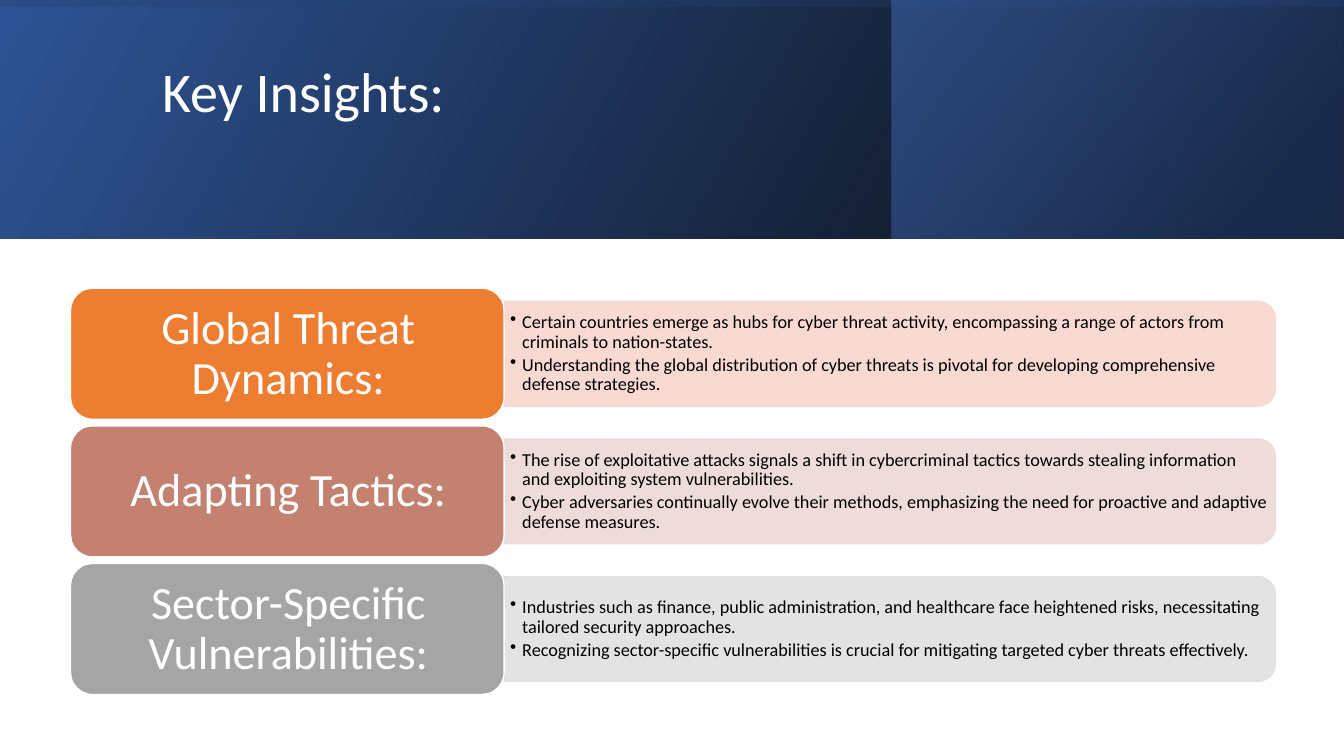
from typing import NamedTuple

from lxml import etree
from pptx import Presentation
from pptx import util as u
from pptx.dml.color import RGBColor
from pptx.enum import shapes, text
from pptx.oxml import ns

FONT = "Calibri"
WHITE = RGBColor(0xFF, 0xFF, 0xFF)
BLACK = RGBColor(0x00, 0x00, 0x00)
BLUE = RGBColor(0x2F, 0x55, 0x97)
NAVY = RGBColor(0x20, 0x38, 0x64)
SKY = RGBColor(0x44, 0x72, 0xC4)
ORANGE = RGBColor(0xED, 0x7D, 0x31)
PEACH = RGBColor(0xF8, 0xD7, 0xCE)
CLAY = RGBColor(0xC4, 0x81, 0x70)
ROSE = RGBColor(0xED, 0xD9, 0xD7)
GREY = RGBColor(0xA5, 0xA5, 0xA5)
SILVER = RGBColor(0xE1, 0xE1, 0xE1)

WIDE, BAND = 13.33, 2.37
TOP, PITCH = 2.86, 1.365
PILL_X, PILL_W, PILL_H = 0.7, 4.3, 1.3
BAR_W, BAR_H = 7.65, 1.04


class Box(NamedTuple):
    x: float
    y: float
    w: float
    h: float

    def inches(self) -> list:
        return [u.Inches(side) for side in self]


class Stop(NamedTuple):
    pos: int
    color: RGBColor
    alpha: int


class Panel(NamedTuple):
    box: Box
    turn: int
    angle: int
    stops: list[Stop]


class Row(NamedTuple):
    head: str
    dark: RGBColor
    pale: RGBColor
    points: list[str]


PANELS = [
    Panel(Box(0, 0, WIDE, BAND), 0, 330, [Stop(0, BLACK, 96), Stop(100, BLUE, 100)]),
    Panel(Box(8.84, 0, 4.48, BAND), 0, 320, [Stop(19, NAVY, 68), Stop(100, SKY, 48)]),
    Panel(Box((WIDE - BAND) / 2, (BAND - WIDE) / 2, BAND, WIDE), 270, 350,
          [Stop(23, BLUE, 16), Stop(99, BLACK, 45)]),
]

ROWS = [
    Row("Global Threat Dynamics:", ORANGE, PEACH, [
        "Certain countries emerge as hubs for cyber threat activity, encompassing "
        "a range of actors from criminals to nation-states.",
        "Understanding the global distribution of cyber threats is pivotal for "
        "developing comprehensive defense strategies."]),
    Row("Adapting Tactics:", CLAY, ROSE, [
        "The rise of exploitative attacks signals a shift in cybercriminal tactics "
        "towards stealing information and exploiting system vulnerabilities.",
        "Cyber adversaries continually evolve their methods, emphasizing the need "
        "for proactive and adaptive defense measures."]),
    Row("Sector-Specific Vulnerabilities:", GREY, SILVER, [
        "Industries such as finance, public administration, and healthcare face "
        "heightened risks, necessitating tailored security approaches.",
        "Recognizing sector-specific vulnerabilities is crucial for mitigating "
        "targeted cyber threats effectively."]),
]


def add_node(parent, tag: str, **attrs):
    return etree.SubElement(parent, ns.qn(tag), **attrs)


def add_panel(slide, panel: Panel) -> None:
    """Draw a mirrored rectangle with a see-through gradient."""
    rect = slide.shapes.add_shape(shapes.MSO_SHAPE.RECTANGLE, *panel.box.inches())
    rect.shadow.inherit = False
    rect.rotation = panel.turn
    rect.line.fill.background()
    rect.fill.gradient()
    props = rect._element.spPr
    props.find(ns.qn("a:xfrm")).set("flipH", "1")
    grad = props.find(ns.qn("a:gradFill"))
    for child in list(grad):
        grad.remove(child)
    stops = add_node(grad, "a:gsLst")
    for stop in panel.stops:
        node = add_node(stops, "a:gs", pos=str(stop.pos * 1000))
        color = add_node(node, "a:srgbClr", val=str(stop.color))
        add_node(color, "a:alpha", val=str(stop.alpha * 1000))
    add_node(grad, "a:lin", ang=str(panel.angle * 60000), scaled="0")


def add_solid(group, kind: shapes.MSO_SHAPE, box: Box, fill: RGBColor, line: RGBColor):
    shape = group.shapes.add_shape(kind, *box.inches())
    shape.shadow.inherit = False
    shape.fill.solid()
    shape.fill.fore_color.rgb = fill
    shape.line.color.rgb = line
    shape.line.width = u.Pt(1)
    return shape


def add_text(parent, box: Box, lines: list[str], size: int, color: RGBColor,
             inset: tuple, align=text.PP_ALIGN.LEFT, bullet: bool = False) -> None:
    """Add a middle-anchored box; inset is left, top, right, bottom."""
    frame = parent.shapes.add_textbox(*box.inches()).text_frame
    frame.word_wrap = True
    frame.vertical_anchor = text.MSO_ANCHOR.MIDDLE
    (frame.margin_left, frame.margin_top,
     frame.margin_right, frame.margin_bottom) = [u.Inches(side) for side in inset]
    for i, line in enumerate(lines):
        para = frame.paragraphs[0] if i == 0 else frame.add_paragraph()
        if bullet:
            props = para._p.get_or_add_pPr()
            props.set("marL", str(u.Inches(0.12)))
            props.set("indent", str(u.Inches(-0.12)))
            add_node(props, "a:buChar", char="•")
            para.level = 1
            para.space_after = u.Pt(2.2)
        para.alignment = align
        para.line_spacing = 0.9
        run = para.add_run()
        run.text = line
        run.font.name = FONT
        run.font.size = u.Pt(size)
        run.font.color.rgb = color


def add_row(group, row: Row, top: float) -> None:
    mid = top + PILL_H / 2
    edge = PILL_X + PILL_W
    # The bar is upright before its quarter turn, so its sides swap.
    upright = Box(edge + (BAR_W - BAR_H) / 2, mid - BAR_W / 2, BAR_H, BAR_W)
    bar = add_solid(group, shapes.MSO_SHAPE.ROUND_2_SAME_RECTANGLE,
                    upright, row.pale, row.pale)
    bar.rotation = 90
    for color in bar._element.spPr.iter(ns.qn("a:srgbClr")):
        add_node(color, "a:alpha", val="90000")
    add_text(group, Box(edge + 0.01, mid - 0.47, 7.6, 0.94), row.points, 13, BLACK,
             (0.05, 0.03, 0.05, 0.03), bullet=True)
    add_solid(group, shapes.MSO_SHAPE.ROUNDED_RECTANGLE,
              Box(PILL_X, top, PILL_W, PILL_H), row.dark, WHITE)
    add_text(group, Box(PILL_X + 0.07, top + 0.07, 4.18, 1.17), [row.head], 33, WHITE,
             (0.14, 0.07, 0.14, 0.07), text.PP_ALIGN.CENTER)


def main() -> None:
    deck = Presentation()
    deck.slide_width = u.Inches(WIDE)
    deck.slide_height = u.Inches(7.5)
    slide = deck.slides.add_slide(deck.slide_layouts[6])
    for panel in PANELS:
        add_panel(slide, panel)
    add_text(slide, Box(1.51, 0.38, 10.63, 1.72), ["Key Insights:"], 40, WHITE,
             (0.1, 0.05, 0.1, 0.66))
    group = slide.shapes.add_group_shape()
    for i, row in enumerate(ROWS):
        add_row(group, row, TOP + i * PITCH)
    deck.save("out.pptx")


if __name__ == "__main__":
    main()
